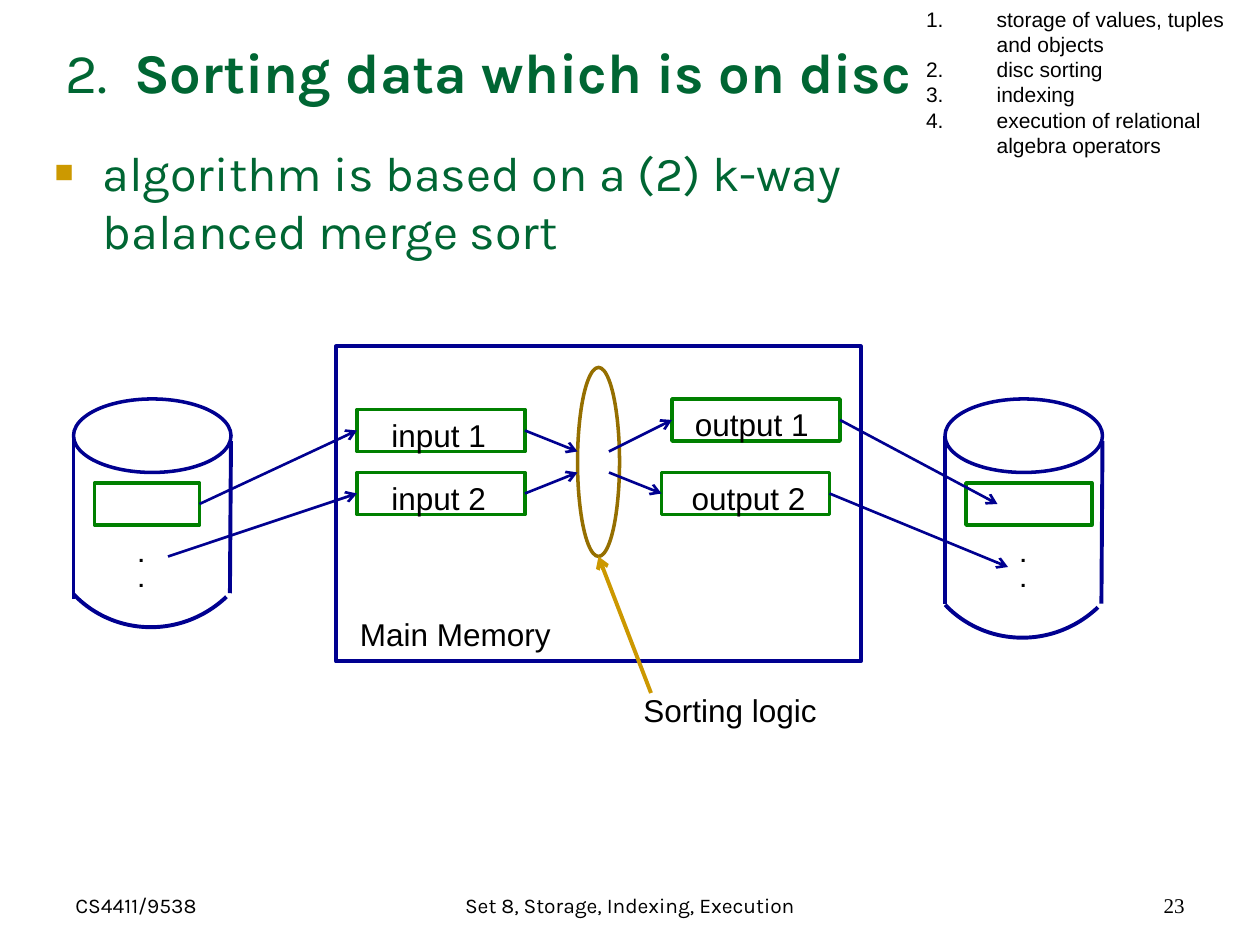
"""Build a slide on sorting disc data with a balanced merge sort."""
import pptx
import pptx.util
import pptx.dml.color
import pptx.enum.shapes
import pptx.enum.text
import pptx.oxml
import pptx.oxml.ns
from lxml import etree

HUES = {"navy": "000090", "green": "008000", "title": "006633",
        "gold": "CC9900", "brown": "956F00", "arrow": "CC9800", "black": "000000"}
KIND = pptx.enum.shapes.MSO_SHAPE
ALIGN = pptx.enum.text.PP_ALIGN
ANCHOR = pptx.enum.text.MSO_ANCHOR
FIT = pptx.enum.text.MSO_AUTO_SIZE
Pt = pptx.util.Pt
qn = pptx.oxml.ns.qn

deck = pptx.Presentation()
deck.slide_width = pptx.util.Inches(10)
deck.slide_height = pptx.util.Inches(7.5)
COL = deck.slide_width / 120
ROW = deck.slide_height / 90
slide = deck.slides.add_slide(deck.slide_layouts[3])
shapes = slide.shapes


def write(box, area, paras, size, font="Arial", hue="black", align=ALIGN.LEFT,
          anchor=ANCHOR.TOP, wrap=True):
    left, top, width, height = area
    box.left, box.top = round(left * COL), round(top * ROW)
    box.width, box.height = round(width * COL), round(height * ROW)
    frame = box.text_frame
    frame.auto_size = FIT.NONE
    frame.word_wrap = wrap
    frame.vertical_anchor = anchor
    for i, runs in enumerate(paras):
        para = frame.paragraphs[0] if i == 0 else frame.add_paragraph()
        para.alignment = align
        para.space_before = Pt(0)
        for text, bold in runs:
            run = para.add_run()
            run.text = text
            run.font.size = Pt(size)
            run.font.name = font
            run.font.bold = bold
            run.font.color.rgb = pptx.dml.color.RGBColor.from_string(HUES[hue])
    return frame.paragraphs


def draw(kind, area, hue, weight=2):
    left, top, width, height = area
    if kind == "line":
        item = shapes.add_connector(
            pptx.enum.shapes.MSO_CONNECTOR.STRAIGHT,
            round(left * COL), round(top * ROW), round(width * COL), round(height * ROW))
        etree.SubElement(item._element.spPr, qn("a:effectLst"))
    else:
        item = shapes.add_shape(kind, round(left * COL), round(top * ROW),
                                round(width * COL), round(height * ROW))
        item.shadow.inherit = False
        item.fill.background()
    item.line.color.rgb = pptx.dml.color.RGBColor.from_string(HUES[hue])
    item.line.width = Pt(weight)
    return item


write(shapes.title, (5, 3, 108, 15),
      [[("2.  ", False), ("Sorting data which is on disc", True)]],
      32, "Karla", "title")
body = write(slide.placeholders[1], (4, 13, 85, 13),
             [[("algorithm is based on a (2) k-way balanced merge sort", False)]],
             27.8, "Karla", "title")
body[0].space_before = Pt(7.5)
topics = write(slide.placeholders[2], (87, 0, 33, 15.6),
               [[(text, False)] for text in (
                   "storage of values, tuples and objects", "disc sorting",
                   "indexing", "execution of relational algebra operators")], 12)

for paras, hang, hue, share, tag, attrs in (
        (body, 0.38, "gold", "65000", "a:buChar", {"char": "■"}),
        (topics, 0.56, "black", "100000", "a:buAutoNum", {"type": "arabicPeriod"})):
    for para in paras:
        props = para._p.get_or_add_pPr()
        props.set("marL", str(pptx.util.Inches(hang)))
        props.set("indent", str(-pptx.util.Inches(hang)))
        tint = etree.SubElement(props, qn("a:buClr"))
        etree.SubElement(tint, qn("a:srgbClr"), val=HUES[hue])
        etree.SubElement(props, qn("a:buSzPct"), val=share)
        etree.SubElement(props, qn("a:buFont"), typeface="Arial")
        etree.SubElement(props, qn(tag), attrs)

for left, width, text, font, align in (
        (6, 28, "CS4411/9538", "Karla", ALIGN.LEFT),
        (41, 38, "Set 8, Storage, Indexing, Execution", "Karla", ALIGN.CENTER),
        (86, 28, "23", "Times New Roman", ALIGN.RIGHT)):
    write(shapes.add_textbox(0, 0, 0, 0), (left, 82, width, 6), [[(text, False)]],
          12, font, align=align, anchor=ANCHOR.BOTTOM)

for left, drop, low in ((7, 0, 56.5), (90, 1, 57.5)):
    draw(KIND.OVAL, (left, 38, 15, 7), "navy")
    draw("line", (left, 41.5, left, 57 + drop / 2), "navy", 2.25)
    draw("line", (left + 15, 42, left + 14.9, low), "navy", 2.25)
    base = draw(KIND.ARC, (left - 2.85, 39.25 + drop, 20.75, 20.4), "navy", 2.25)
    base.rotation = 136.4

draw(KIND.RECTANGLE, (32, 33, 50, 30), "navy", 2.25)
slots = {name: draw(KIND.RECTANGLE, (left, top, width, 4), "green")
         for name, left, top, width in (
             ("source", 9, 46, 10), ("in1", 34, 39, 16), ("in2", 34, 45, 16),
             ("out1", 64, 38, 16), ("out2", 63, 45, 16), ("target", 92, 46, 12))}
draw(KIND.OVAL, (55, 35, 4, 18), "brown")

for start, end, ends, hue, weight in (
        ("source", "in1", (19, 48, 34, 41), "navy", 1.5),
        (None, "in2", (16, 53, 34, 47), "navy", 1.5),
        ("in1", None, (50, 41, 55, 43), "navy", 1.5),
        ("in2", None, (50, 47, 55, 45), "navy", 1.5),
        (None, "out1", (58, 43, 64, 40), "navy", 1.5),
        (None, "out2", (58, 45, 63, 47), "navy", 1.5),
        ("out1", None, (80, 40, 95, 48), "navy", 1.5),
        ("out2", None, (79, 47, 96, 54), "navy", 1.5),
        (None, None, (62, 66, 57, 53), "arrow", 2.25)):
    arrow = draw("line", ends, hue, weight)
    if start:
        arrow.begin_connect(slots[start], 3)
    if end:
        arrow.end_connect(slots[end], 1)
    etree.SubElement(arrow.line._get_or_add_ln(), qn("a:tailEnd"), type="arrow")

for left, top, width, text in (
        (36.1, 39, 11.4, "input 1"), (36.1, 45, 11.4, "input 2"),
        (65, 38, 13.2, "output 1"), (64.7, 45, 13.2, "output 2"),
        (33.1, 58, 20.5, "Main Memory"), (60.1, 65.2, 18.8, "Sorting logic")):
    write(shapes.add_textbox(0, 0, 0, 0), (left, top, width, 4.8),
          [[(text, False)]], 18, wrap=False)
for left in (12, 96):
    write(shapes.add_textbox(0, 0, 0, 0), (left, 51, 2.9, 6),
          [[(".", True)]] * 2, 12, wrap=False)

deck.save("out.pptx")
